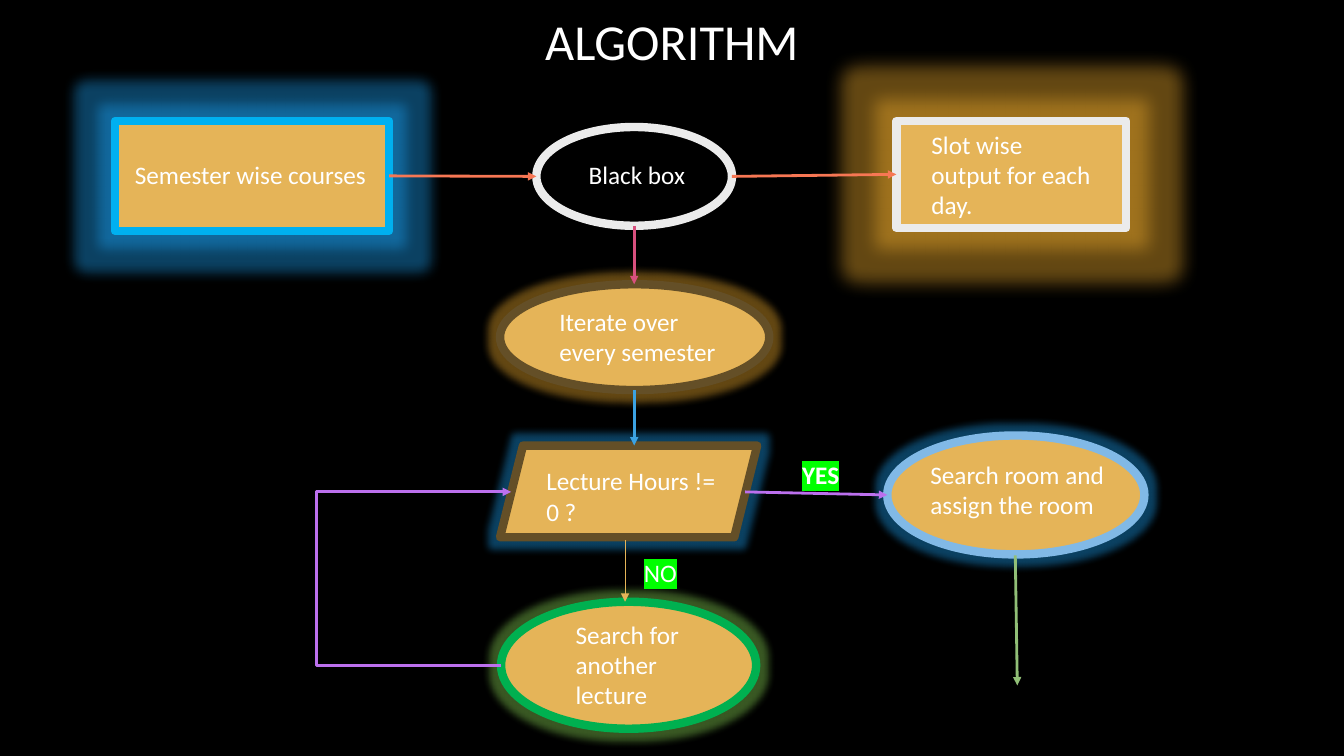
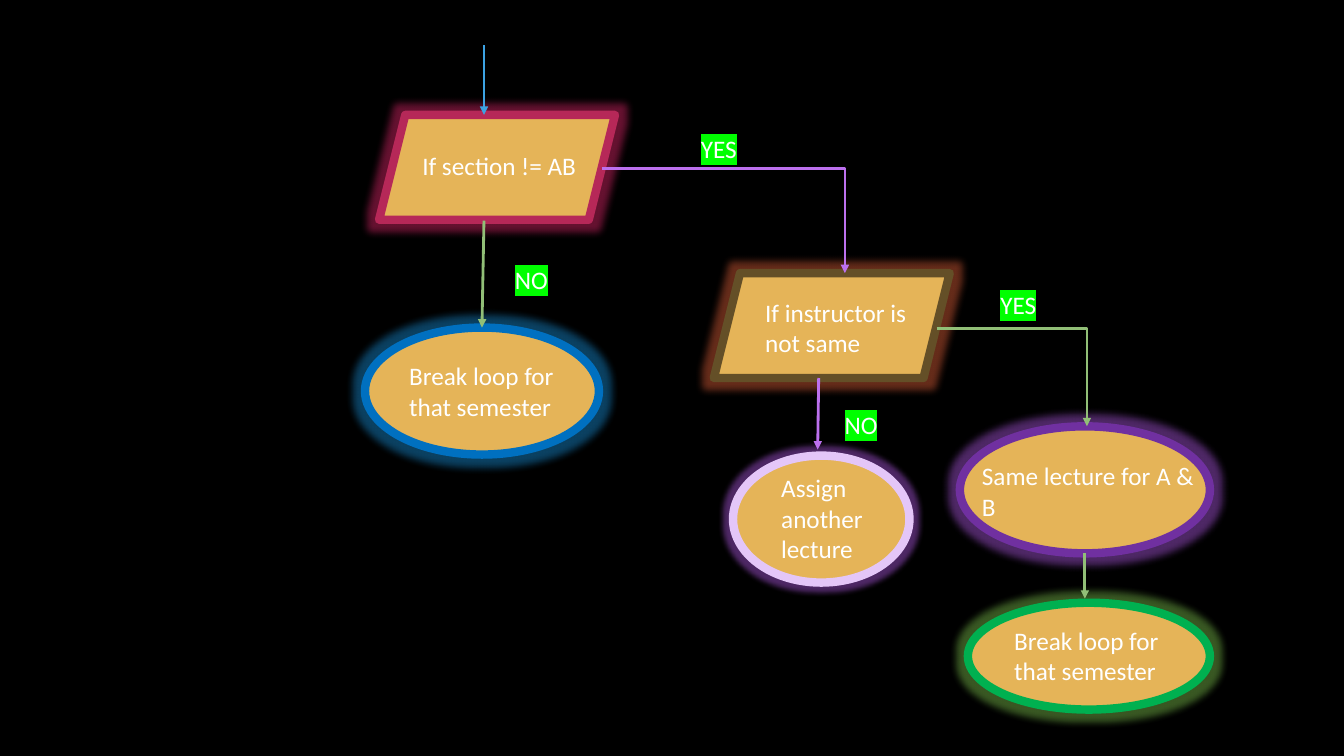
"""Build a two-slide flowchart of a lecture scheduling algorithm."""
from lxml import etree
from pptx import Presentation
from pptx.dml.color import RGBColor
from pptx.enum.shapes import MSO_CONNECTOR, MSO_SHAPE
from pptx.enum.text import MSO_ANCHOR, PP_ALIGN
from pptx.oxml.ns import qn
from pptx.util import Inches, Pt

RECT = MSO_SHAPE.RECTANGLE
OVAL = MSO_SHAPE.OVAL
DECISION = MSO_SHAPE.PARALLELOGRAM
STRAIGHT = MSO_CONNECTOR.STRAIGHT
ELBOW = MSO_CONNECTOR.ELBOW
LEFT = PP_ALIGN.LEFT
CENTER = PP_ALIGN.CENTER
MIDDLE = MSO_ANCHOR.MIDDLE
TOP_SIDE, LEFT_SIDE, BOTTOM_SIDE, RIGHT_SIDE = range(4)

FONT = "Calibri"
BLACK, WHITE, SAND, LIME = "000000", "FFFFFF", "E5B458", "00FF00"
BROWN, PALE, GREEN = "644F27", "EBEBEB", "00B050"
CORAL, ROSE, SKY, VIOLET, LEAF = "F77754", "D8507E", "3CA2E2", "BC70EE", "91BF77"
BLUE_GLOW, GOLD_GLOW, GREEN_GLOW = "1CA3F5", "F9B32F", "90DE59"
PINK_GLOW, ORANGE_GLOW, PURPLE_GLOW = "FF2D7A", "FF6E42", "C564FF"
LABEL_WIDTH, LABEL_HEIGHT = 0.8, 0.4


def rgb(value):
    """Turn a hex string into a colour."""
    return RGBColor.from_string(value)


def add_text(page, area, text, size=18, align=LEFT, bold=False, highlight=None):
    """Add a wrapped text box holding one run and return it."""
    box = page.shapes.add_textbox(*map(Inches, area))
    box.text_frame.word_wrap = True
    para = box.text_frame.paragraphs[0]
    para.alignment = align
    span = para.add_run()
    span.text = text
    span.font.size = Pt(size)
    span.font.bold = bold
    span.font.name = FONT
    span.font.color.rgb = rgb(WHITE)
    if highlight:
        mark = etree.Element(qn("a:highlight"))
        etree.SubElement(mark, qn("a:srgbClr"), val=highlight)
        span.font.fill._xPr.find(qn("a:solidFill")).addnext(mark)
    return box


# name: kind, area, fill, outline, glow colour, glow points, text area, text
algorithm = {
    "nodes": {
        "courses": (RECT, (1.14, 1.2, 2.72, 1.09), SAND, "00B0F0", BLUE_GLOW, 18,
                    (1.24, 1.53, 2.6, 0.4), "Semester wise courses"),
        "black box": (OVAL, (5.32, 1.26, 1.94, 0.98), BLACK, PALE, None, 0,
                      (5.74, 1.53, 1.41, 0.4), "Black box"),
        "output": (RECT, (8.89, 1.2, 2.28, 1.06), SAND, PALE, GOLD_GLOW, 25,
                   (9.14, 1.23, 1.83, 1.01), "Slot wise output for each day."),
        "iterate": (OVAL, (4.96, 2.82, 2.67, 1.05), SAND, BROWN, GOLD_GLOW, 11,
                    (5.45, 2.99, 1.94, 0.71), "Iterate over every semester"),
        "hours": (DECISION, (4.96, 4.42, 2.55, 0.91), SAND, BROWN, BLUE_GLOW, 11,
                  (5.32, 4.57, 1.94, 0.71), "Lecture Hours != 0 ?"),
        "room": (OVAL, (8.8, 4.32, 2.55, 1.18), SAND, "81B9E6", BLUE_GLOW, 11,
                 (9.13, 4.51, 1.96, 0.71), "Search room and assign the room"),
        "another": (OVAL, (4.97, 5.97, 2.53, 1.26), SAND, GREEN, GREEN_GLOW, 11,
                    (5.61, 6.09, 1.24, 1.01), "Search for another lecture"),
    },
    "links": [
        ((3.86, 1.75), (5.32, 1.75), CORAL, 2, ("courses", RIGHT_SIDE), None),
        ((7.26, 1.75), (8.89, 1.74), CORAL, 2, None, ("output", LEFT_SIDE)),
        ((6.29, 2.24), (6.29, 2.82), ROSE, 2, None, None),
        ((6.29, 3.87), (6.29, 4.42), SKY, 2, None, None),
        ((7.39, 4.88), (8.8, 4.91), VIOLET, 2, None, None),
        ((10.07, 5.51), (10.09, 6.8), LEAF, 2, None, None),
        ((6.2, 5.36), (6.2, 5.97), SAND, 0.75, None, None),
    ],
    "elbows": [((4.97, 6.6), (5.07, 4.88), VIOLET, "bentConnector3", -18.3)],
    "labels": [("YES", 8.14, 4.51, True), ("NO", 6.55, 5.48, False)],
}
sections = {
    "nodes": {
        "section": (DECISION, (3.76, 1.14, 2.34, 1.04), SAND, "B62858", PINK_GLOW, 11,
                    (4.09, 1.44, 1.8, 0.4), "If section != AB"),
        "instructor": (DECISION, (7.08, 2.71, 2.34, 1.04), SAND, BROWN, ORANGE_GLOW, 11,
                       (7.49, 2.9, 1.8, 0.71), "If instructor is not same"),
        "same": (OVAL, (9.52, 4.23, 2.48, 1.26), SAND, "7030A0", PURPLE_GLOW, 11,
                 (9.64, 4.52, 2.32, 0.71), "Same lecture for A & B"),
        "same break": (OVAL, (9.6, 5.98, 2.4, 1.06), SAND, GREEN, GREEN_GLOW, 11,
                       (9.96, 6.15, 1.68, 0.71), "Break loop for that semester"),
        "section break": (OVAL, (3.62, 3.25, 2.32, 1.26), SAND, "0070C0", BLUE_GLOW, 11,
                          (3.96, 3.53, 1.65, 0.71), "Break loop for that semester"),
        "assign": (OVAL, (7.27, 4.52, 1.75, 1.26), SAND, "E4C6F8", PURPLE_GLOW, 8,
                   (7.65, 4.64, 1.17, 1.01), "Assign another lecture"),
    },
    "links": [
        ((4.8, 0.45), (4.8, 1.14), SKY, 2, None, None),
        ((10.76, 5.49), (10.76, 5.94), LEAF, 2, None, None),
        ((4.8, 2.19), (4.78, 3.25), LEAF, 2, None, None),
        ((8.12, 3.75), (8.11, 4.46), VIOLET, 2, None, None),
    ],
    "elbows": [
        ((5.97, 1.67), (8.38, 2.71), VIOLET, "bentConnector2", None),
        ((9.29, 3.26), (10.78, 4.23), LEAF, "bentConnector2", None),
    ],
    "labels": [("YES", 7.13, 1.27, False), ("NO", 5.27, 2.57, False),
               ("YES", 10.1, 2.82, False), ("NO", 8.54, 4.01, False)],
}

deck = Presentation()
deck.slide_width = Inches(13.33)
deck.slide_height = Inches(7.5)

for title, chart in (("ALGORITHM", algorithm), (None, sections)):
    page = deck.slides.add_slide(deck.slide_layouts[6])
    page.background.fill.solid()
    page.background.fill.fore_color.rgb = rgb(BLACK)
    if title:
        heading = add_text(page, (0, 0, 13.33, 0.81), title, 36, CENTER)
        heading.text_frame.vertical_anchor = MIDDLE

    nodes = {}
    for name, (kind, area, fill, outline, glow, radius, text_area, text) in chart["nodes"].items():
        node = page.shapes.add_shape(kind, *map(Inches, area))
        node.fill.solid()
        node.fill.fore_color.rgb = rgb(fill)
        node.line.color.rgb = rgb(outline)
        node.line.width = Pt(6)
        node.shadow.inherit = False
        if glow:
            effects = node._element.spPr.find(qn("a:effectLst"))
            halo = etree.SubElement(effects, qn("a:glow"), rad=str(Pt(radius)))
            tint = etree.SubElement(halo, qn("a:srgbClr"), val=glow)
            etree.SubElement(tint, qn("a:alpha"), val="40000")
        nodes[name] = node
        add_text(page, text_area, text)

    arrows = []
    for start, end, colour, width, source, target in chart["links"]:
        arrow = page.shapes.add_connector(STRAIGHT, *map(Inches, start + end))
        if source:
            arrow.begin_connect(nodes[source[0]], source[1])
        if target:
            arrow.end_connect(nodes[target[0]], target[1])
        arrows.append((arrow, colour, width))
    for start, end, colour, preset, bend in chart["elbows"]:
        arrow = page.shapes.add_connector(ELBOW, *map(Inches, start + end))
        geometry = arrow._element.spPr.find(qn("a:prstGeom"))
        geometry.set("prst", preset)
        if bend:
            guides = geometry.find(qn("a:avLst"))
            if guides is None:
                guides = etree.SubElement(geometry, qn("a:avLst"))
            etree.SubElement(guides, qn("a:gd"), name="adj1", fmla=f"val {round(bend * 100000)}")
        arrows.append((arrow, colour, 2))
    for arrow, colour, width in arrows:
        arrow.line.color.rgb = rgb(colour)
        arrow.line.width = Pt(width)
        properties = arrow._element.spPr
        etree.SubElement(properties.find(qn("a:ln")), qn("a:tailEnd"), type="triangle")
        etree.SubElement(properties, qn("a:effectLst"))

    for text, middle, top, bold in chart["labels"]:
        area = (middle - LABEL_WIDTH / 2, top, LABEL_WIDTH, LABEL_HEIGHT)
        add_text(page, area, text, align=CENTER, bold=bold, highlight=LIME)

deck.save("out.pptx")
